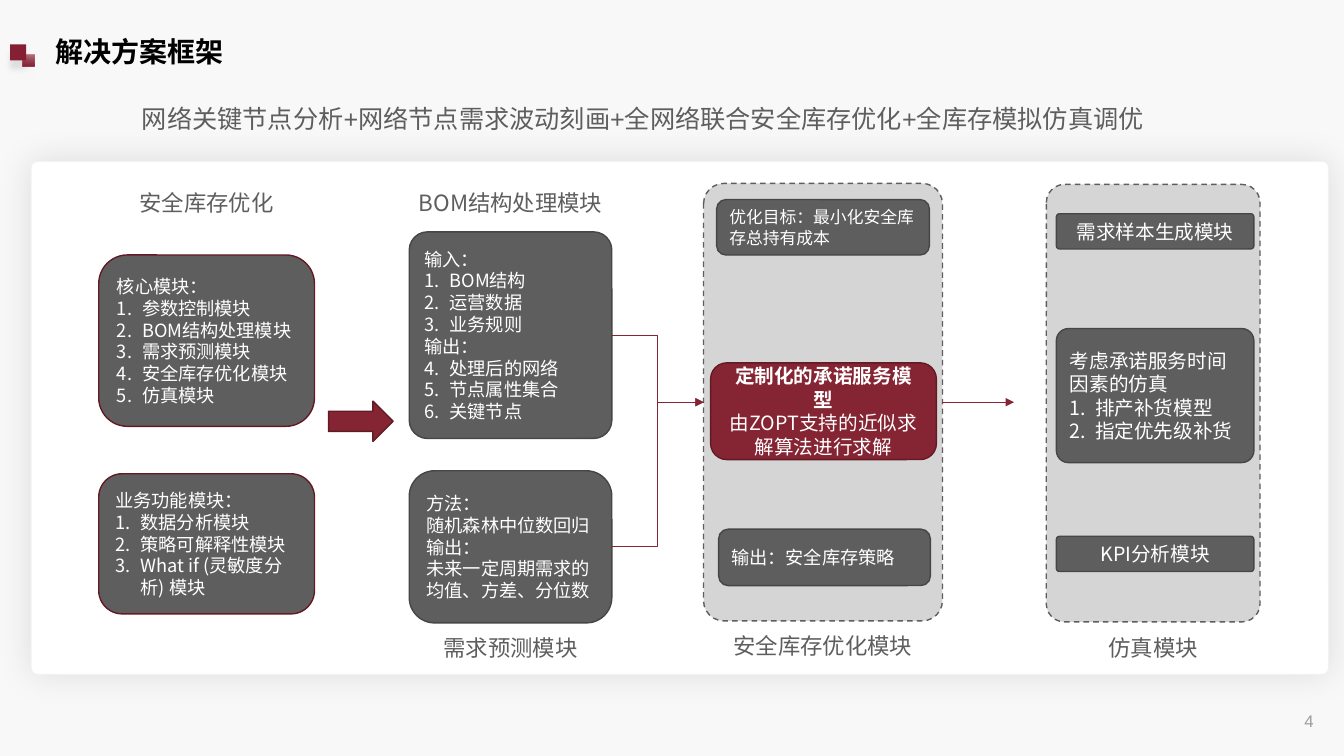
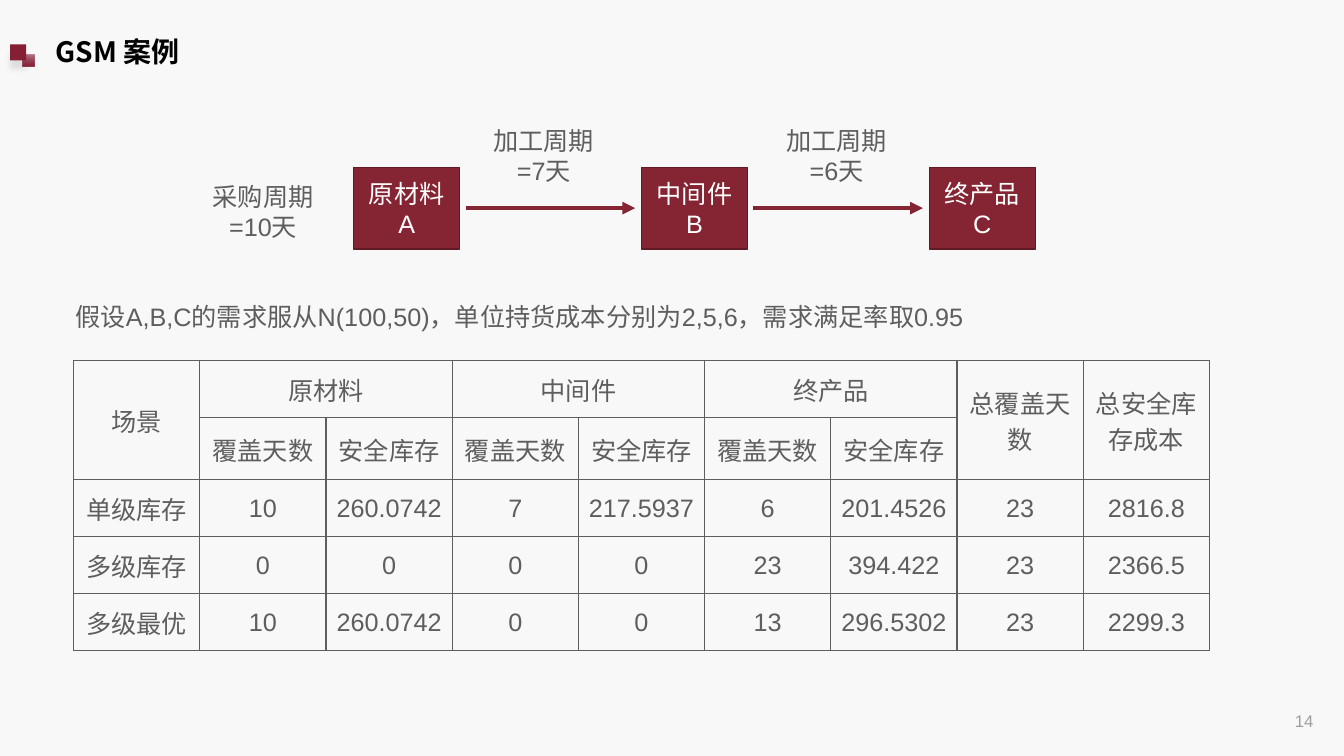
from collections import namedtuple
from dataclasses import dataclass

from lxml.etree import SubElement
from pptx import Presentation
from pptx.dml.color import RGBColor
from pptx.enum.dml import MSO_LINE
from pptx.enum.shapes import MSO_CONNECTOR, MSO_SHAPE
from pptx.enum.text import MSO_ANCHOR, PP_ALIGN
from pptx.oxml.ns import qn
from pptx.util import Inches, Pt


@dataclass(frozen=True)
class Theme:
    background: str = "F8F8F8"
    mark: str = "841F34"
    accent: str = "852432"
    accent_edge: str = "621B25"
    gray: str = "5E5E5E"
    gray_edge: str = "464646"
    panel: str = "D5D5D5"
    white: str = "FFFFFF"
    card_edge: str = "F2F2F2"
    black: str = "000000"
    number: str = "9D9D9D"
    cjk: str = "Noto Sans CJK SC"
    latin: str = "Arial"
    title_size: int = 20
    lead_size: int = 18
    label_size: int = 16
    large_size: int = 14
    list_size: int = 13
    small_size: int = 12
    leading: float = 1.2


THEME = Theme()
COLUMNS, ROWS = 133.33, 75
UNIT = Inches(0.1)
Line = namedtuple("Line", "text numbered bold", defaults=(False, False))


@dataclass(frozen=True)
class Box:
    column: float
    row: float
    columns: float
    rows: float

    def within(self, column, row, columns, rows):
        return Box(self.column + column, self.row + row, columns, rows)

    @property
    def emu(self):
        return [round(value * UNIT) for value in (self.column, self.row, self.columns, self.rows)]


def color(value):
    return RGBColor.from_string(value)


def numbered(*texts):
    return [Line(text, numbered=True) for text in texts]


def write_text(frame, lines, size, ink=THEME.white, latin=THEME.cjk, align=PP_ALIGN.LEFT,
               anchor=MSO_ANCHOR.MIDDLE, bold=False, leading=THEME.leading, wrap=True):
    frame.word_wrap = wrap
    frame.vertical_anchor = anchor
    lines = [lines] if isinstance(lines, str) else lines
    for index, line in enumerate(lines):
        line = Line(line) if isinstance(line, str) else line
        para = frame.paragraphs[0] if index == 0 else frame.add_paragraph()
        if line.numbered:
            properties = para._p.get_or_add_pPr()
            properties.set("marL", str(Inches(0.25)))
            properties.set("indent", str(-Inches(0.25)))
            SubElement(properties, qn("a:buAutoNum"), type="arabicPeriod")
        para.alignment = align
        if leading:
            para.line_spacing = Pt(size * leading)
        span = para.add_run()
        span.text = line.text
        span.font.size = Pt(size)
        span.font.bold = bold or line.bold
        span.font.color.rgb = color(ink)
        span.font.name = latin
        SubElement(span._r.get_or_add_rPr(), qn("a:ea"), typeface=THEME.cjk)


def add_text(page, box, lines, size, ink=THEME.gray, anchor=MSO_ANCHOR.TOP, **text_format):
    shape = page.shapes.add_textbox(*box.emu)
    write_text(shape.text_frame, lines, size, ink=ink, anchor=anchor, **text_format)


def add_block(page, box, fill, edge=None, kind=MSO_SHAPE.ROUNDED_RECTANGLE, corner=None,
              weight=1, lines=None, **text_format):
    shape = page.shapes.add_shape(kind, *box.emu)
    shape.shadow.inherit = False
    shape.fill.solid()
    shape.fill.fore_color.rgb = color(fill)
    if edge:
        shape.line.color.rgb = color(edge)
        shape.line.width = Pt(weight)
    else:
        shape.line.fill.background()
    if corner is not None:
        shape.adjustments[0] = corner
    if lines:
        write_text(shape.text_frame, lines, **text_format)
    return shape


def add_shadow(shape, ink, opacity, blur, distance):
    effects = shape._element.spPr.find(qn("a:effectLst"))
    shadow = SubElement(effects, qn("a:outerShdw"), blurRad=str(Pt(blur)), dist=str(Pt(distance)),
                        dir="5400000", algn="ctr", rotWithShape="0")
    tint = SubElement(shadow, qn("a:srgbClr"), val=ink)
    SubElement(tint, qn("a:alpha"), val=str(opacity * 1000))


def fade_fill(shape, ink, stops):
    shape.fill.gradient()
    shape.fill.gradient_angle = 90
    stop_list = shape._element.spPr.find(qn("a:gradFill")).find(qn("a:gsLst"))
    for stop in list(stop_list):
        stop_list.remove(stop)
    for position, opacity in stops:
        stop = SubElement(stop_list, qn("a:gs"), pos=str(position * 1000))
        tint = SubElement(stop, qn("a:srgbClr"), val=ink)
        SubElement(tint, qn("a:alpha"), val=str(opacity * 1000))


def add_arrow(page, start, end, weight, kind=MSO_CONNECTOR.STRAIGHT):
    points = [round(value * UNIT) for value in (*start, *end)]
    arrow = page.shapes.add_connector(kind, *points)
    arrow.line.color.rgb = color(THEME.accent)
    arrow.line.width = Pt(weight)
    SubElement(arrow.line._get_or_add_ln(), qn("a:tailEnd"), type="triangle")
    SubElement(arrow._element.spPr, qn("a:effectLst"))
    return arrow


def start_page(deck, title, number):
    page = deck.slides.add_slide(deck.slide_layouts[5])
    square = add_block(page, Box(1, 4.4, 1.6, 1.6), THEME.mark, kind=MSO_SHAPE.RECTANGLE)
    add_shadow(square, THEME.black, 9, 4, 6)
    overlay = add_block(page, Box(2.2, 5.4, 1.2, 1.2), THEME.mark, kind=MSO_SHAPE.RECTANGLE)
    fade_fill(overlay, THEME.mark, [(0, 100), (48, 84), (100, 60)])
    add_shadow(overlay, THEME.card_edge, 13, 4, 6)
    heading = page.shapes.title
    heading.left, heading.top, heading.width, heading.height = Box(4.5, 1.5, 109, 7.2).emu
    write_text(heading.text_frame, title, THEME.title_size, ink=THEME.black, bold=True)
    add_text(page, Box(101.3, 69.5, 30, 4), number, THEME.small_size, ink=THEME.number,
             anchor=MSO_ANCHOR.MIDDLE, latin=THEME.latin, align=PP_ALIGN.RIGHT)
    return page


def add_label(page, column, row, text):
    add_text(page, column.within(-2, row, column.columns + 4, 3.7), text, THEME.label_size,
             align=PP_ALIGN.CENTER, wrap=False)


def add_gray(page, box, lines, size=THEME.list_size, edge=THEME.gray_edge, **options):
    return add_block(page, box, THEME.gray, edge, lines=lines, size=size, **options)


def add_panel(page, column, row):
    panel = add_block(page, column.within(0, row, column.columns, 43.4), THEME.panel,
                      THEME.gray, corner=0.085)
    panel.line.dash_style = MSO_LINE.DASH
    return panel


def module_column(page, column):
    add_label(page, column, 2.3, "安全库存优化")
    groups = [
        (9.3, 17, ["核心模块：", *numbered("参数控制模块", "BOM结构处理模块", "需求预测模块",
                                     "安全库存优化模块", "仿真模块")]),
        (31, 13.9, ["业务功能模块：", *numbered("数据分析模块", "策略可解释性模块",
                                          "What if (灵敏度分析) 模块")]),
    ]
    for row, rows, lines in groups:
        add_gray(page, column.within(0, row, column.columns, rows), lines, edge=THEME.accent_edge)


def data_column(page, column):
    add_label(page, column, 2.3, "BOM结构处理模块")
    add_label(page, column, 46.4, "需求预测模块")
    structure = ["输入：", *numbered("BOM结构", "运营数据", "业务规则"),
                 "输出：", *numbered("处理后的网络", "节点属性集合", "关键节点")]
    forecast = ["方法：", "随机森林中位数回归", "输出：", "未来一定周期需求的均值、方差、分位数"]
    width = column.columns
    return [add_gray(page, column.within(0, 7, width, 20.5), structure, corner=0.09),
            add_gray(page, column.within(0, 30.7, width, 15.1), forecast)]


def optimizer_column(page, column):
    panel = add_panel(page, column, 2.2)
    add_gray(page, column.within(1.3, 3.8, 21.1, 5.5), "优化目标：最小化安全库存总持有成本",
             size=THEME.small_size)
    add_block(page, column.within(0.7, 20, 22.4, 9.6), THEME.accent, THEME.accent_edge,
              lines=[Line("定制化的承诺服务模型", bold=True), "由ZOPT支持的近似求解算法进行求解"],
              size=THEME.large_size, align=PP_ALIGN.CENTER)
    add_gray(page, column.within(1.5, 36.5, 21, 5.6), "输出：安全库存策略")
    add_label(page, column, 46.2, "安全库存优化模块")
    return panel


def simulation_column(page, column):
    add_panel(page, column, 2.3)
    steps = [
        (5.2, 3.5, "需求样本生成模块", PP_ALIGN.CENTER),
        (16.6, 13.3, ["考虑承诺服务时间因素的仿真", *numbered("排产补货模型", "指定优先级补货")],
         PP_ALIGN.LEFT),
        (37.2, 3.5, "KPI分析模块", PP_ALIGN.CENTER),
    ]
    for row, rows, lines, align in steps:
        add_gray(page, column.within(1, row, 19.6, rows), lines, size=THEME.large_size,
                 corner=0.09, align=align)
    add_label(page, column, 46.4, "仿真模块")


def framework_page(deck):
    page = start_page(deck, "解决方案框架", "4")
    add_text(page, Box(13.1, 9.8, 115, 4),
             "网络关键节点分析+网络节点需求波动刻画+全网络联合安全库存优化+全库存模拟仿真调优",
             THEME.lead_size, latin=THEME.latin)
    card = Box(3.1, 16, 128.7, 50.9)
    surface = add_block(page, card, THEME.white, THEME.card_edge, corner=0.012, weight=0.75)
    add_shadow(surface, THEME.black, 11, 25, 0)
    modules, data, optimizer, simulation = [
        card.within(left, 0, width, card.rows)
        for left, width in ((6.7, 21.4), (37.5, 20.1), (66.7, 23.7), (100.7, 21.2))]
    module_column(page, modules)
    sources = data_column(page, data)
    panel = optimizer_column(page, optimizer)
    simulation_column(page, simulation)
    add_block(page, card.within(29.5, 23.8, 6.4, 4), THEME.accent, THEME.accent_edge,
              kind=MSO_SHAPE.RIGHT_ARROW)
    middle = card.row + 23.9
    right = optimizer.column + optimizer.columns
    for source in sources:
        link = add_arrow(page, (data.column, middle), (optimizer.column, middle), 0.5,
                         MSO_CONNECTOR.ELBOW)
        link.begin_connect(source, 3)
        link.end_connect(panel, 1)
    result = add_arrow(page, (right, middle), (right + 7.1, middle), 0.5)
    result.begin_connect(panel, 3)


def supply_chain(page, region):
    caption = dict(size=THEME.lead_size, latin=THEME.latin, align=PP_ALIGN.CENTER)
    add_text(page, region.within(0, 5.6, 13.6, 7.1), ["采购周期", "=10天"], **caption)
    stages = [("原材料", "A", "=7天", 0), ("中间件", "B", "=6天", 0.5), ("终产品", "C", None, 0)]
    for index, (name, letter, duration, gap) in enumerate(stages):
        node = region.within(15.8 + 28.55 * index, 4.7, 10.5, 8.1)
        add_block(page, node, THEME.accent, THEME.accent_edge, kind=MSO_SHAPE.RECTANGLE,
                  lines=[name, letter], **caption)
        if duration:
            add_text(page, node.within(node.columns + gap, -4.7, 16.7, 7.1),
                     ["加工周期", duration], **caption)
            start, middle = node.column + node.columns + 0.6, node.row + node.rows / 2
            add_arrow(page, (start, middle), (start + 16.8, middle), 3)


def format_cell(cell, text):
    cell.margin_left = cell.margin_top = cell.margin_right = Inches(0.01)
    cell.margin_bottom = 0
    cell.vertical_anchor = MSO_ANCHOR.MIDDLE
    properties = cell._tc.get_or_add_tcPr()
    for side in ("lnL", "lnR", "lnT", "lnB"):
        border = SubElement(properties, qn(f"a:{side}"), w=str(Pt(1)))
        SubElement(SubElement(border, qn("a:solidFill")), qn("a:srgbClr"), val=THEME.gray)
    cell.fill.background()
    if text:
        write_text(cell.text_frame, text, THEME.lead_size, ink=THEME.gray, latin=THEME.latin,
                   align=PP_ALIGN.CENTER, leading=None)


def comparison_table(page, region):
    records = [
        ["场景", "原材料", "", "中间件", "", "终产品", "", "总覆盖天数", "总安全库存成本"],
        ["", *["覆盖天数", "安全库存"] * 3, "", ""],
        ["单级库存", "10", "260.0742", "7", "217.5937", "6", "201.4526", "23", "2816.8"],
        ["多级库存", "0", "0", "0", "0", "23", "394.422", "23", "2366.5"],
        ["多级最优", "10", "260.0742", "0", "0", "13", "296.5302", "23", "2299.3"],
    ]
    table = page.shapes.add_table(len(records), len(records[0]), *region.emu).table
    table.first_row = table.horz_banding = False
    table.rows[1].height = Inches(0.6)
    for row, record in enumerate(records):
        for column, text in enumerate(record):
            format_cell(table.cell(row, column), text)
    for column in (0, 7, 8):
        table.cell(0, column).merge(table.cell(1, column))
    for column in (1, 3, 5):
        table.cell(0, column).merge(table.cell(0, column + 1))


def case_page(deck):
    page = start_page(deck, "GSM 案例", "14")
    supply_chain(page, Box(19.3, 11.9, 83.5, 12.8))
    add_text(page, Box(6.5, 27.9, 118.5, 5),
             "假设A,B,C的需求服从N(100,50)，单位持货成本分别为2,5,6，需求满足率取0.95",
             THEME.lead_size, latin=THEME.latin, leading=1.8)
    comparison_table(page, Box(7.3, 35.8, 112.7, 28.3))


def main():
    deck = Presentation()
    deck.slide_width = round(COLUMNS * UNIT)
    deck.slide_height = ROWS * UNIT
    backdrop = deck.slide_master.background.fill
    backdrop.solid()
    backdrop.fore_color.rgb = color(THEME.background)
    framework_page(deck)
    case_page(deck)
    deck.save("out.pptx")


if __name__ == "__main__":
    main()
